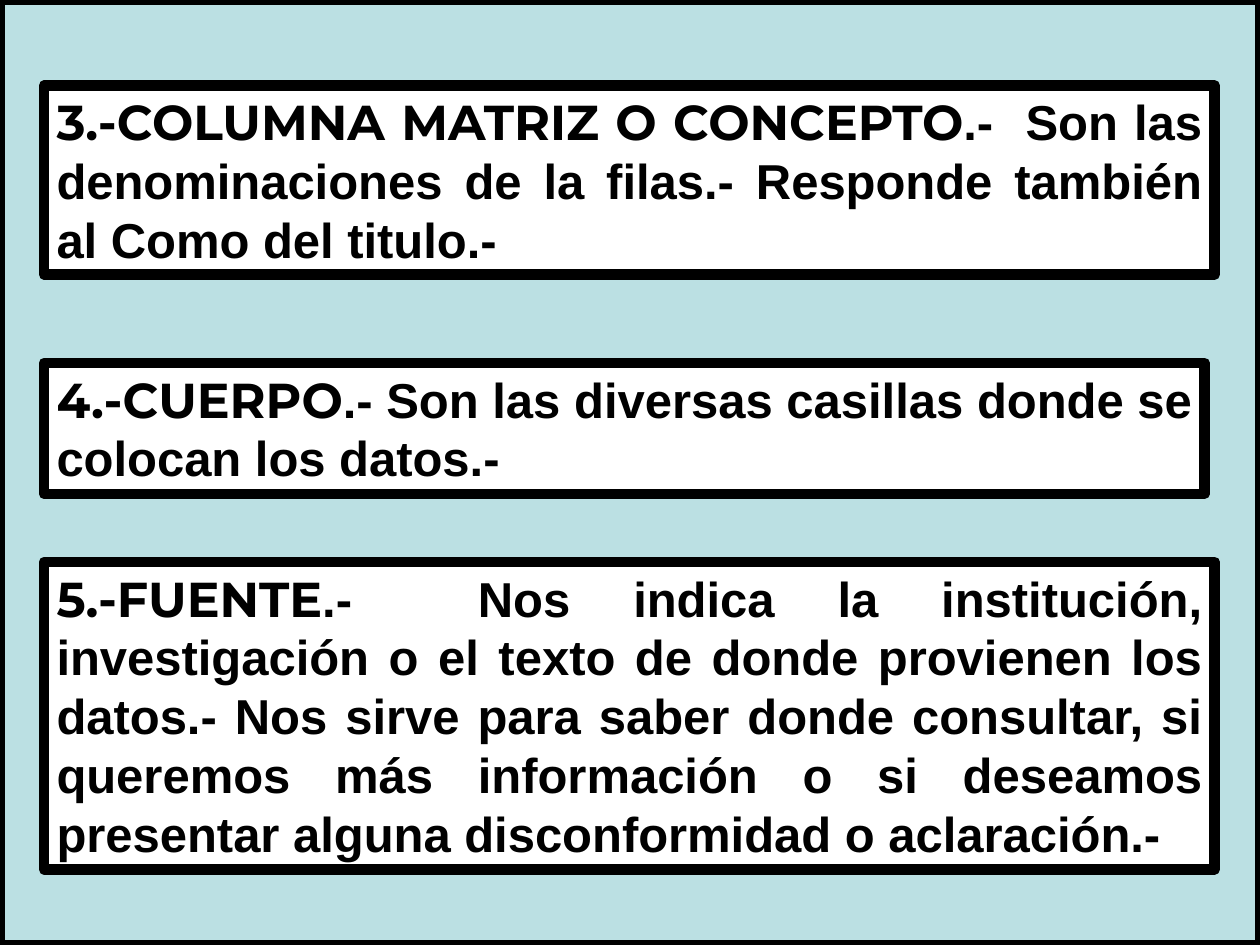
from pptx import Presentation
from pptx.dml.color import RGBColor
from pptx.enum.shapes import MSO_SHAPE as Shape
from pptx.enum.text import MSO_ANCHOR as Anchor, MSO_AUTO_SIZE as AutoSize, PP_ALIGN as Align
from pptx.util import Inches, Pt

BLACK = RGBColor(0x00, 0x00, 0x00)
WHITE = RGBColor(0xFF, 0xFF, 0xFF)
PALE_TEAL = RGBColor(0xBB, 0xE0, 0xE3)

DEFINITIONS = [
    (0.68, 9.29, 1.5, "3.-COLUMNA MATRIZ O CONCEPTO",
     ".-  Son las denominaciones de la filas.- Responde también al Como del titulo.-"),
    (2.88, 9.21, 1.04, "4.-CUERPO",
     ".- Son las diversas casillas donde se colocan los datos.-"),
    (4.46, 9.29, 2.44, "5.-FUENTE",
     ".-  Nos indica la institución, investigación o el texto de donde provienen los datos.- "
     "Nos sirve para saber donde consultar, si queremos más información o si deseamos "
     "presentar alguna disconformidad o aclaración.-"),
]


def add_framed_box(slide, left, top, width, height, color):
    shape = slide.shapes.add_shape(
        Shape.RECTANGLE, Inches(left), Inches(top), Inches(width), Inches(height))
    shape.shadow.inherit = False
    shape.fill.solid()
    shape.fill.fore_color.rgb = color
    shape.line.color.rgb = BLACK
    shape.line.width = Pt(6)
    return shape


presentation = Presentation()
presentation.slide_width = Inches(10)
presentation.slide_height = Inches(7.5)
slide = presentation.slides.add_slide(presentation.slide_layouts[6])

add_framed_box(slide, 0, 0, 10, 7.5, PALE_TEAL)

for top, width, height, term, definition in DEFINITIONS:
    shape = add_framed_box(slide, 0.35, top, width, height, WHITE)
    text_frame = shape.text_frame
    text_frame.word_wrap = True
    text_frame.auto_size = AutoSize.SHAPE_TO_FIT_TEXT
    text_frame.vertical_anchor = Anchor.TOP
    paragraph = text_frame.paragraphs[0]
    paragraph.alignment = Align.JUSTIFY
    for text, font_name in ((term, "Montserrat"), (definition, "Arial")):
        run = paragraph.add_run()
        run.text = text
        run.font.name = font_name
        run.font.size = Pt(28)
        run.font.bold = True
        run.font.color.rgb = BLACK

presentation.save("out.pptx")
